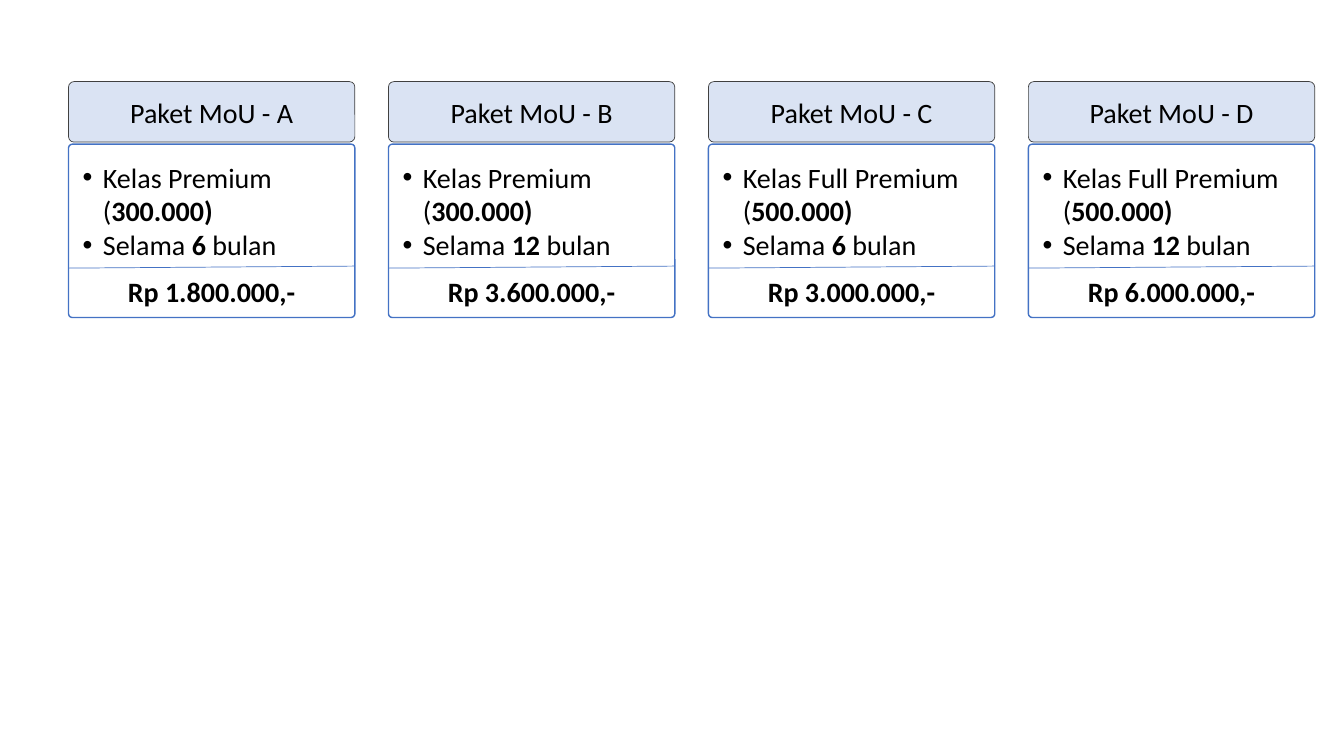
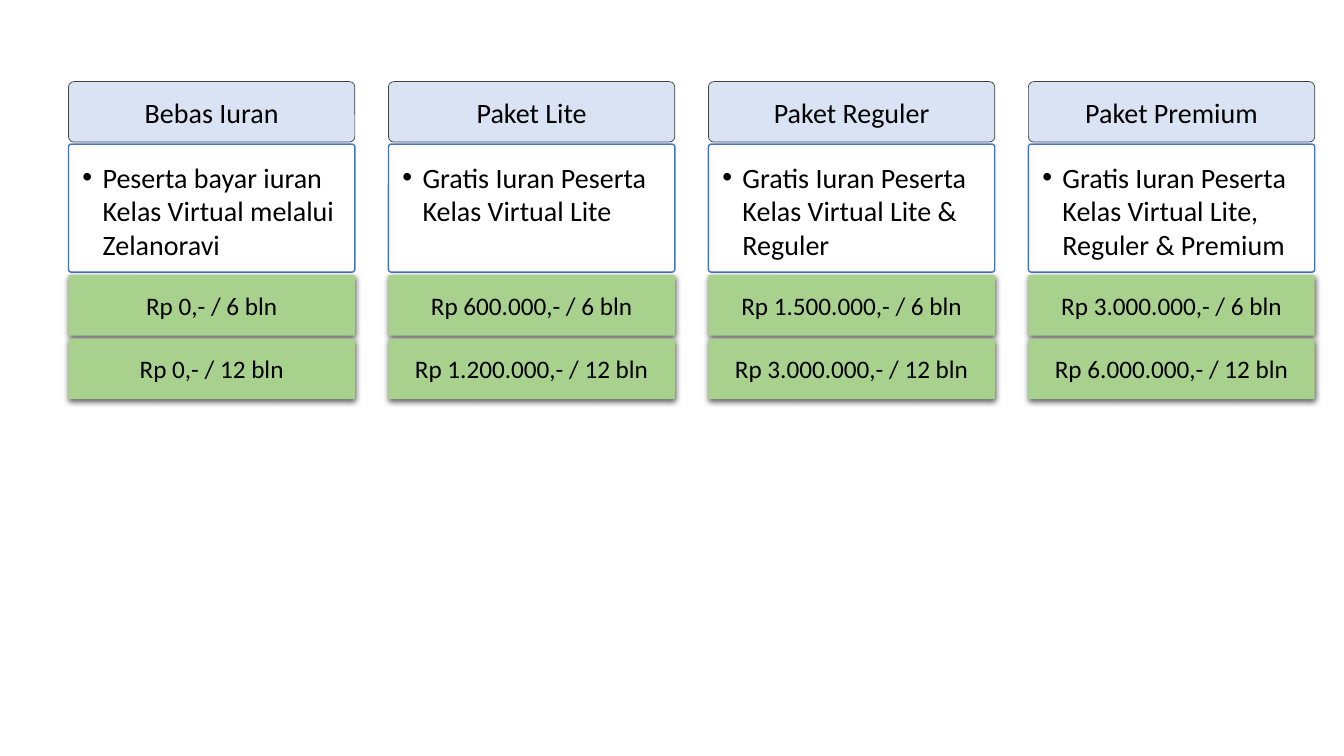
"""Build two slides that compare subscription packages as rows of four cards."""
from dataclasses import dataclass

from lxml import etree
from pptx import Presentation
from pptx.dml.color import RGBColor
from pptx.enum import shapes, text
from pptx.oxml import ns
from pptx.util import Inches, Pt


@dataclass(frozen=True)
class Theme:
    font: str = "Calibri"
    ink: RGBColor = RGBColor(0, 0, 0)
    header: RGBColor = RGBColor(0xDA, 0xE3, 0xF3)
    header_line: RGBColor = RGBColor(0x40, 0x40, 0x40)
    body: RGBColor = RGBColor(0xFF, 0xFF, 0xFF)
    accent: RGBColor = RGBColor(0x44, 0x72, 0xC4)
    price: RGBColor = RGBColor(0xA9, 0xD1, 0x8E)
    text_size: Pt = Pt(20)
    price_size: Pt = Pt(18)


THEME = Theme()
CARD_WIDTH = 2.84
HEADER_TOP, BODY_TOP, ROW_HEIGHT = 0.81, 1.43, 0.6
FIRST_LEFT, LAST_LEFT = 0.68, 10.2
LEFTS = [FIRST_LEFT + i * (LAST_LEFT - FIRST_LEFT) / 3 for i in range(4)]


def add_panel(page, left, top, height, fill, line=None, line_width=1, corner=0.022):
    box = page.shapes.add_shape(
        shapes.MSO_SHAPE.ROUNDED_RECTANGLE,
        Inches(left), Inches(top), Inches(CARD_WIDTH), Inches(height))
    box.adjustments[0] = corner
    box.shadow.inherit = False
    box.fill.solid()
    box.fill.fore_color.rgb = fill
    if line is None:
        box.line.fill.background()
    else:
        box.line.color.rgb = line
        box.line.width = Pt(line_width)
    return box


def write(box, lines, size=THEME.text_size, bullets=False):
    """Fill a box with lines, where asterisks enclose bold words."""
    frame = box.text_frame
    frame.word_wrap = True
    frame.vertical_anchor = text.MSO_ANCHOR.MIDDLE
    if bullets:
        frame.vertical_anchor = text.MSO_ANCHOR.TOP
        frame.margin_left = frame.margin_right = Inches(0.13)
        frame.margin_top = Inches(0.15)
    for i, line in enumerate(lines):
        para = frame.add_paragraph() if i else frame.paragraphs[0]
        para.alignment = text.PP_ALIGN.LEFT if bullets else text.PP_ALIGN.CENTER
        if bullets:
            properties = para._p.get_or_add_pPr()
            properties.set("marL", str(Inches(0.2)))
            properties.set("indent", str(Inches(-0.2)))
            font = etree.SubElement(properties, ns.qn("a:buFont"))
            font.set("typeface", "Arial")
            etree.SubElement(properties, ns.qn("a:buChar")).set("char", "•")
        para.font.name = THEME.font
        para.font.size = size
        para.font.color.rgb = THEME.ink
        for j, words in enumerate(line.split("*")):
            if words:
                span = para.add_run()
                span.text = words
                if j % 2:
                    span.font.bold = True


MOU_PACKAGES = [
    ("Paket MoU - A", "Kelas Premium (*300.000)*", 6, "Rp 1.800.000,-"),
    ("Paket MoU - B", "Kelas Premium (*300.000)*", 12, "Rp 3.600.000,-"),
    ("Paket MoU - C", "Kelas Full Premium (*500.000)*", 6, "Rp 3.000.000,-"),
    ("Paket MoU - D", "Kelas Full Premium (*500.000)*", 12, "Rp 6.000.000,-"),
]
FEE_PACKAGES = [
    ("Bebas Iuran", "Peserta bayar iuran Kelas Virtual melalui Zelanoravi",
     "Rp 0,-", "Rp 0,-"),
    ("Paket Lite", "Gratis Iuran Peserta Kelas Virtual Lite",
     "Rp 600.000,-", "Rp 1.200.000,-"),
    ("Paket Reguler", "Gratis Iuran Peserta Kelas Virtual Lite & Reguler",
     "Rp 1.500.000,-", "Rp 3.000.000,-"),
    ("Paket Premium", "Gratis Iuran Peserta Kelas Virtual Lite, Reguler & Premium",
     "Rp 3.000.000,-", "Rp 6.000.000,-"),
]

deck = Presentation()
deck.slide_width, deck.slide_height = Inches(13.33), Inches(7.5)
mou_page, fee_page = [deck.slides.add_slide(deck.slide_layouts[6]) for _ in range(2)]

for page, packages, body_height in (
        (mou_page, MOU_PACKAGES, 1.72), (fee_page, FEE_PACKAGES, 1.27)):
    for left, (title, benefit, *_) in zip(LEFTS, packages):
        header = add_panel(page, left, HEADER_TOP, ROW_HEIGHT, THEME.header,
                           THEME.header_line, 0.5, corner=0.09)
        write(header, [title])
        body = add_panel(page, left, BODY_TOP, body_height, THEME.body, THEME.accent)
        details = [benefit]
        if page is mou_page:
            details.append(f"Selama *{_[0]}* bulan")
        write(body, details, bullets=True)

for left, (*_, total) in zip(LEFTS, MOU_PACKAGES):
    total_box = mou_page.shapes.add_textbox(
        Inches(left), Inches(2.66), Inches(CARD_WIDTH), Inches(0.47))
    write(total_box, [f"*{total}*"])
    divider = mou_page.shapes.add_connector(
        shapes.MSO_CONNECTOR.STRAIGHT, Inches(left), Inches(2.66),
        Inches(left + CARD_WIDTH), Inches(2.64))
    divider.line.color.rgb = THEME.accent
    divider.line.width = Pt(0.5)
    etree.SubElement(divider._element.spPr, ns.qn("a:effectLst"))

for left, (*_, half_year, full_year) in zip(LEFTS, FEE_PACKAGES):
    for top, price, months in ((2.73, half_year, 6), (3.36, full_year, 12)):
        price_box = add_panel(fee_page, left, top, ROW_HEIGHT, THEME.price)
        write(price_box, [f"{price} / {months} bln"], THEME.price_size)
        effects = price_box._element.spPr.find(ns.qn("a:effectLst"))
        shadow = etree.SubElement(
            effects, ns.qn("a:outerShdw"), blurRad=str(Pt(4.5)), dist=str(Pt(1.5)),
            dir="5400000", algn="ctr", rotWithShape="0")
        shade = etree.SubElement(shadow, ns.qn("a:srgbClr"), val="000000")
        etree.SubElement(shade, ns.qn("a:alpha"), val="63000")

deck.save("out.pptx")
